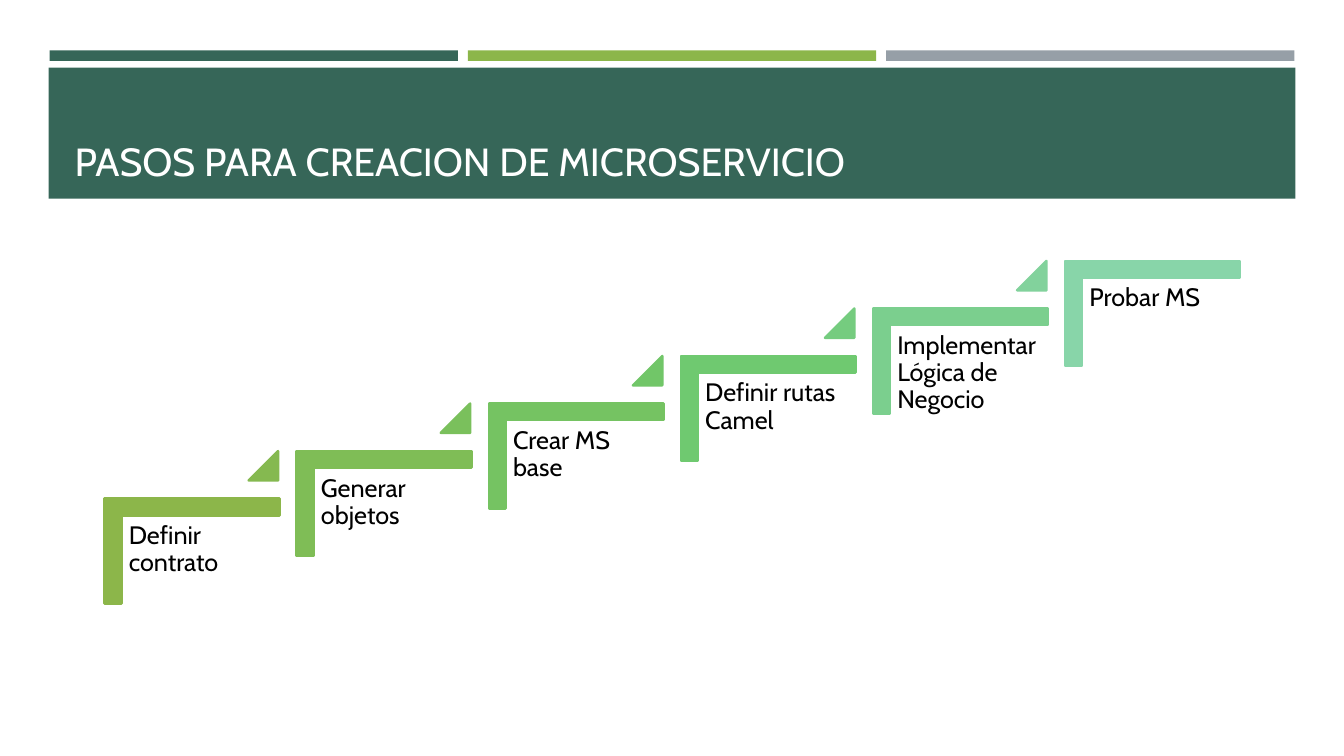
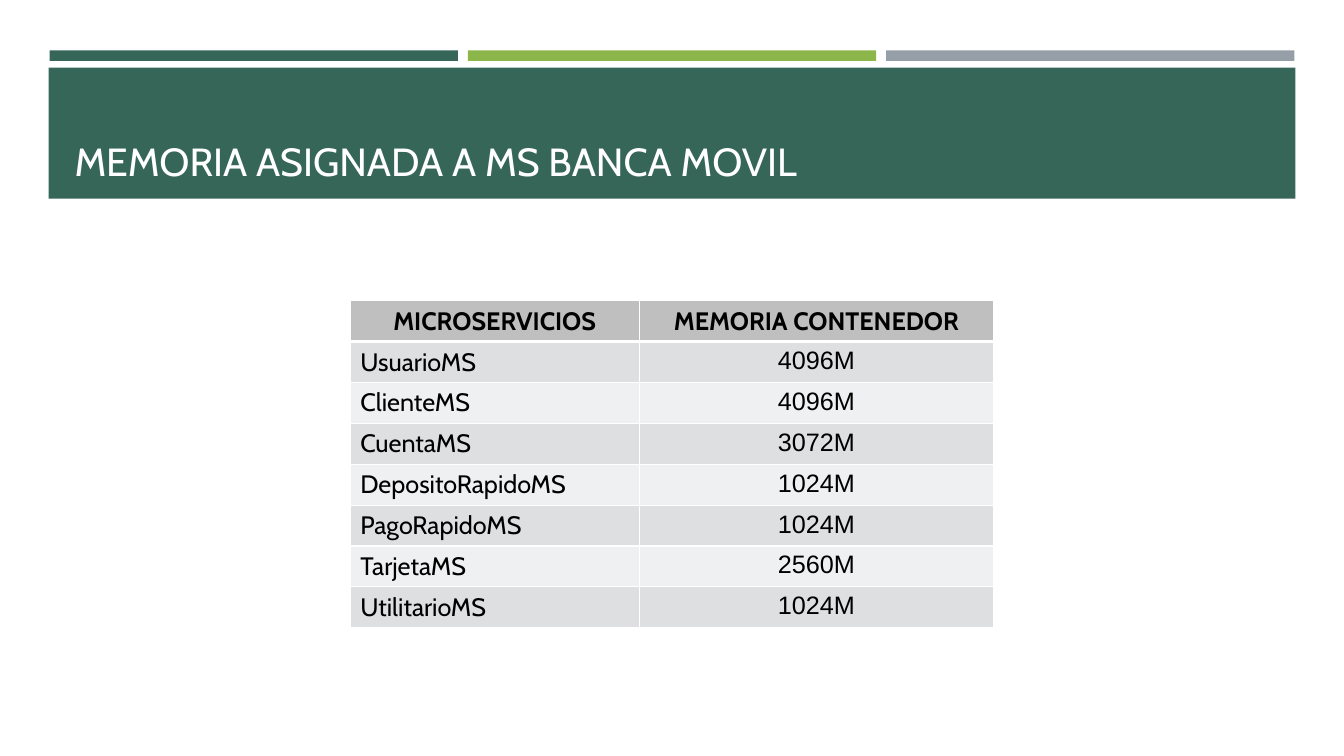
from lxml import etree
from pptx import Presentation
from pptx.dml.color import RGBColor
from pptx.enum.shapes import MSO_SHAPE
from pptx.enum.text import MSO_ANCHOR, PP_ALIGN
from pptx.oxml.ns import qn
from pptx.util import Inches, Pt

RECT = MSO_SHAPE.RECTANGLE
CORNER = MSO_SHAPE.CORNER
WEDGE = MSO_SHAPE.ISOSCELES_TRIANGLE
LEFT, CENTER = PP_ALIGN.LEFT, PP_ALIGN.CENTER
TOP, BOTTOM = MSO_ANCHOR.TOP, MSO_ANCHOR.BOTTOM

# Colours
PINE = RGBColor(0x36, 0x66, 0x58)
LIME = RGBColor(0x8C, 0xB6, 0x4A)
STEEL = RGBColor(0x96, 0x9F, 0xA7)
WHITE = RGBColor(0xFF, 0xFF, 0xFF)
BLACK = RGBColor(0x00, 0x00, 0x00)
HEAD = RGBColor(0xBF, 0xBF, 0xBF)
BANDS = (RGBColor(0xDD, 0xDF, 0xE1), RGBColor(0xEF, 0xF0, 0xF1))
STAIR = [RGBColor.from_string(tint) for tint in (
    "8CB64A", "85B950", "7FBD56", "7AC05C", "75C362", "71C668",
    "6FC970", "75CC7F", "7BCF8E", "82D29C", "88D5A9")]

# Grid of square cells
COLS, ROWS = 160, 90
WIDTH, HEIGHT = Inches(13.333), Inches(7.5)

# Content
STEPS = ("Definir contrato", "Generar objetos", "Crear MS base",
         "Definir rutas Camel", "Implementar Lógica de Negocio", "Probar MS")
MEMORY = (("MICROSERVICIOS", "MEMORIA CONTENEDOR"),
          ("UsuarioMS", "4096M"), ("ClienteMS", "4096M"),
          ("CuentaMS", "3072M"), ("DepositoRapidoMS", "1024M"),
          ("PagoRapidoMS", "1024M"), ("TarjetaMS", "2560M"),
          ("UtilitarioMS", "1024M"))


def write(frame, text, size=18, font="Cabin", color=BLACK, bold=False,
          align=LEFT, space=None):
    """Put one formatted paragraph into a text frame."""
    para = frame.paragraphs[0]
    para.alignment = align
    para.line_spacing = space
    run = para.add_run()
    run.text = text
    run.font.size, run.font.name = Pt(size), font
    run.font.bold, run.font.color.rgb = bold, color


def edge(cell, side, points):
    """Draw one white cell border; call before the cell is filled."""
    line = etree.SubElement(cell._tc.get_or_add_tcPr(), qn("a:ln" + side),
                            w=str(Pt(points)))
    fill = etree.SubElement(line, qn("a:solidFill"))
    etree.SubElement(fill, qn("a:srgbClr"), val=str(WHITE))


class Deck:
    def __init__(self):
        self.file = Presentation()
        self.file.slide_width, self.file.slide_height = WIDTH, HEIGHT
        self.slide = None

    def place(self, x, y, w, h):
        """Turn columns and rows into slide lengths."""
        return (round(x * WIDTH / COLS), round(y * HEIGHT / ROWS),
                round(w * WIDTH / COLS), round(h * HEIGHT / ROWS))

    def page(self, title):
        """Start a slide with the shared bars, band and title."""
        self.slide = self.file.slides.add_slide(self.file.slide_layouts[6])
        for i, color in enumerate((PINE, LIME, STEEL)):
            self.shape(RECT, (5.9 + 49.8 * i, 6, 48.6, 1.25), color)
        self.shape(RECT, (5.8, 8.05, 148.4, 15.6), PINE)
        self.text((7.7, 9.2, 144.7, 13.3), title, anchor=BOTTOM,
                  size=28, color=WHITE)

    def shape(self, kind, area, color, line=None, adjust=(), turn=0):
        item = self.slide.shapes.add_shape(kind, *self.place(*area))
        item.shadow.inherit = False
        item.rotation = turn
        for i, value in enumerate(adjust):
            item.adjustments[i] = value
        item.fill.solid()
        item.fill.fore_color.rgb = color
        if line:
            item.line.color.rgb, item.line.width = color, Pt(line)
        else:
            item.line.fill.background()

    def text(self, area, words, anchor=TOP, inset=None, **style):
        frame = self.slide.shapes.add_textbox(*self.place(*area)).text_frame
        frame.word_wrap, frame.vertical_anchor = True, anchor
        if inset is not None:
            frame.margin_left = frame.margin_right = Inches(inset)
            frame.margin_top = frame.margin_bottom = Inches(inset)
        write(frame, words, **style)

    def table(self, x, y, widths, row, data):
        area = self.place(x, y, sum(widths), row * len(data))
        grid = self.slide.shapes.add_table(len(data), len(widths), *area).table
        for c, wide in enumerate(widths):
            grid.columns[c].width = self.place(0, 0, wide, 0)[2]
        for r, line in enumerate(data):
            for c, words in enumerate(line):
                cell, top = grid.cell(r, c), r == 0
                for side in "LRTB":
                    # The rule below the header is thicker
                    thick = (r, side) in ((0, "B"), (1, "T"))
                    edge(cell, side, 3 if thick else 1)
                cell.fill.solid()
                cell.fill.fore_color.rgb = HEAD if top else BANDS[(r - 1) % 2]
                write(cell.text_frame, words, bold=top,
                      font="Arial" if c and not top else "Cabin",
                      align=CENTER if c or top else LEFT)


def main():
    deck = Deck()

    # Staircase of steps
    deck.page("PASOS PARA CREACION DE MICROSERVICIO")
    for i, step in enumerate(STEPS):
        x, y = 14.5 + 22.87 * i, 53.7 - 5.66 * i
        deck.shape(CORNER, (x + 2.1, y + 1.5, 12.5, 20.8), STAIR[2 * i],
                   line=1.75, adjust=(0.16, 0.16), turn=90)
        deck.text((x, y + 7.7, 18.7, 16.4), step, inset=0.07, space=0.9)
        if i < len(STEPS) - 1:
            deck.shape(WEDGE, (x + 15.1, y, 3.5, 3.5), STAIR[2 * i + 1],
                       line=1.75, adjust=(1,))

    # Memory table
    deck.page("MEMORIA ASIGNADA A MS BANCA MOVIL")
    deck.table(41.7, 35.8, (34.4, 42.2), 4.87, MEMORY)

    deck.file.save("out.pptx")


if __name__ == "__main__":
    main()
